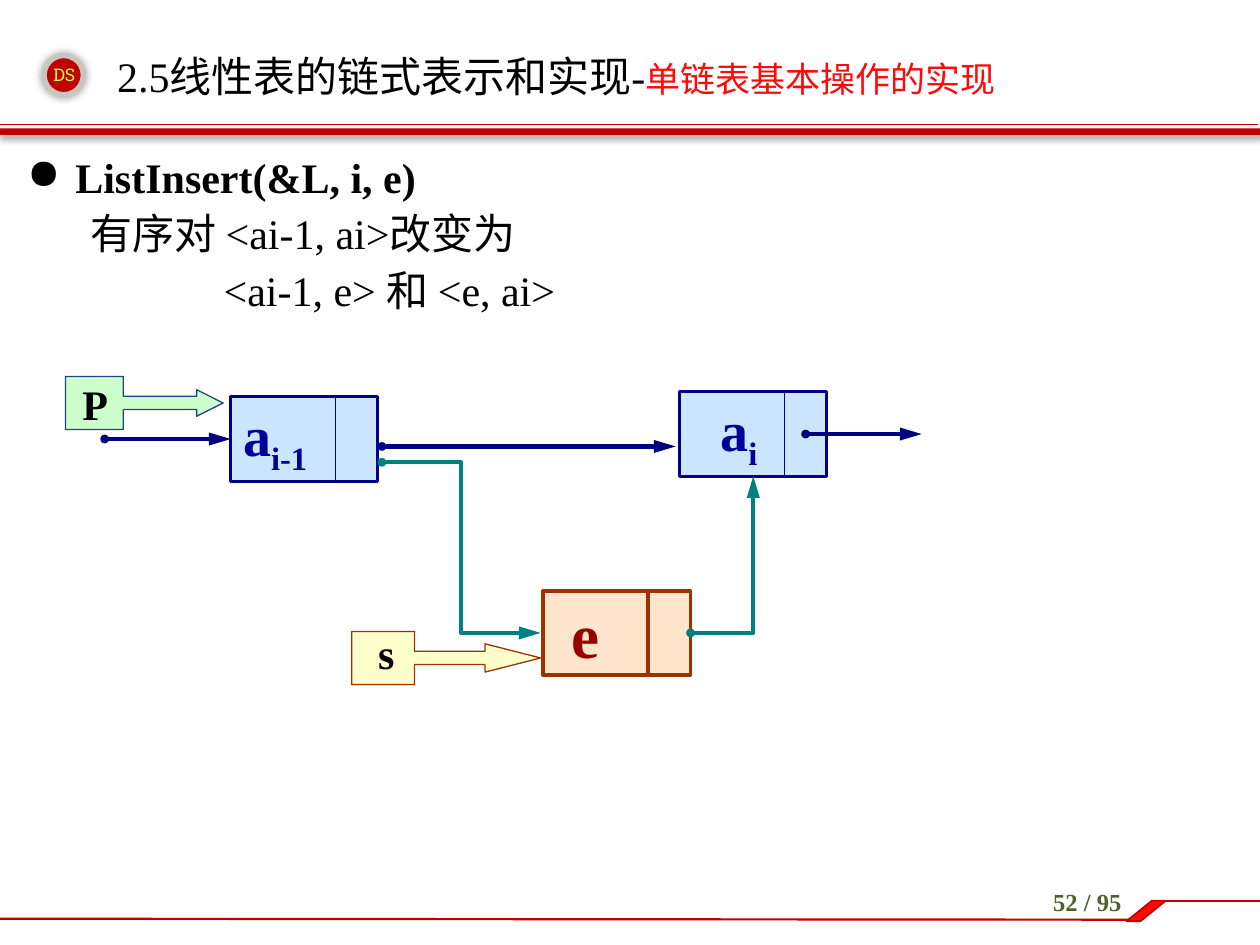
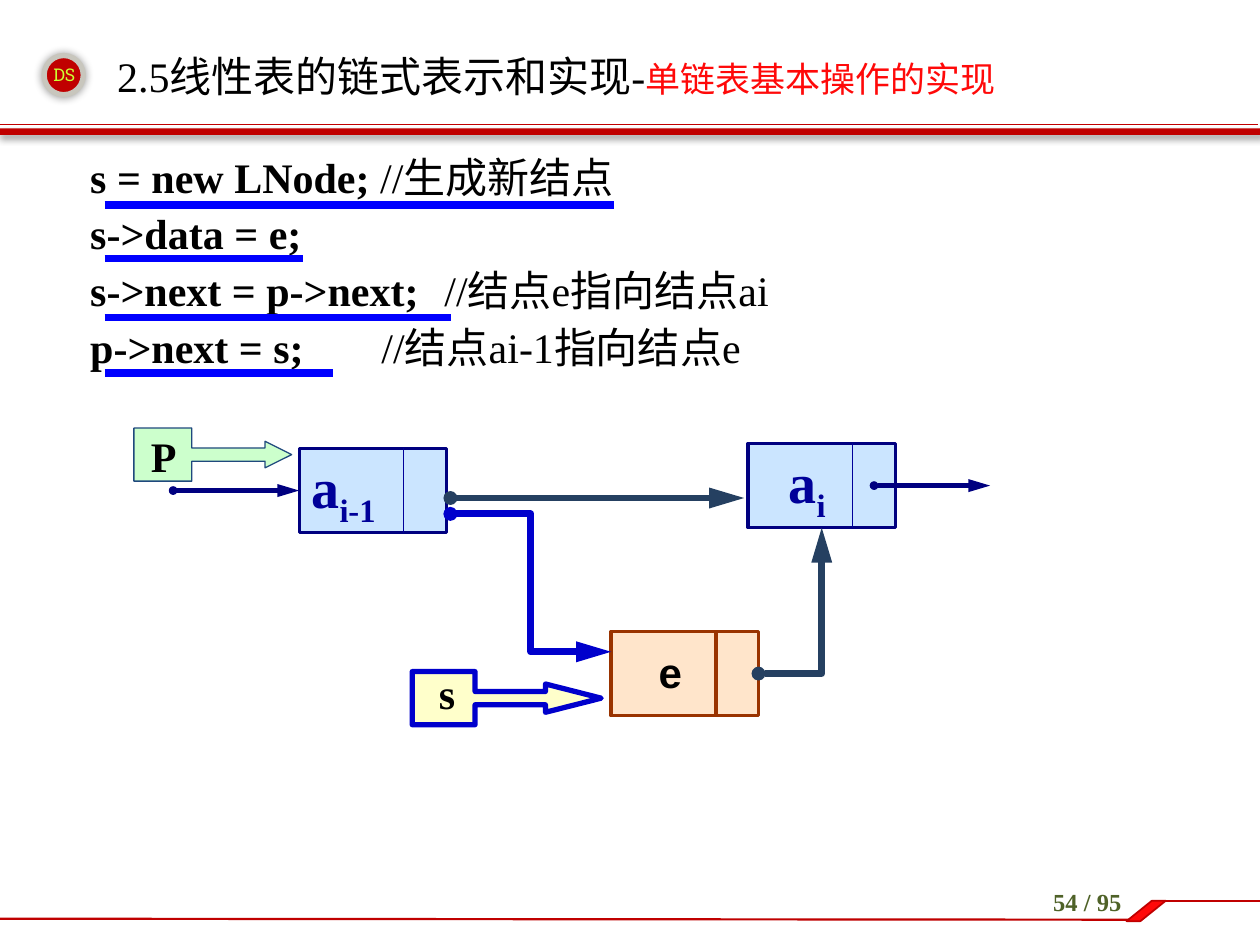
from lxml import etree
from pptx import Presentation
from pptx.dml.color import RGBColor
from pptx.enum.shapes import MSO_CONNECTOR, MSO_SHAPE
from pptx.enum.text import MSO_ANCHOR, PP_ALIGN
from pptx.oxml.ns import qn
from pptx.util import Cm, Pt

STRAIGHT, ELBOW = MSO_CONNECTOR.STRAIGHT, MSO_CONNECTOR.ELBOW
RECTANGLE, ELLIPSE = MSO_SHAPE.RECTANGLE, MSO_SHAPE.OVAL
PARALLELOGRAM, CALLOUT = MSO_SHAPE.PARALLELOGRAM, MSO_SHAPE.RIGHT_ARROW_CALLOUT
LEFT, CENTER = PP_ALIGN.LEFT, PP_ALIGN.CENTER
TOP, MIDDLE = MSO_ANCHOR.TOP, MSO_ANCHOR.MIDDLE

RED, BRIGHT_RED = "C00000", "FF0909"
NAVY, INK, TEAL = "000080", "000099", "008080"
SLATE, BLUE, MARKER = "254061", "0000CC", "0000FF"
BROWN, DARK_RED = "993300", "990000"
SKY, PEACH, YELLOW, MINT = "99CCFF", "FFCC99", "FFFF99", "CCFFCC"

PLAIN = dict(size=24, name="Times New Roman", color="000000", bold=False)
BOLD = PLAIN | dict(bold=True)
NODE_TEXT = BOLD | dict(size=32, color=INK)
SUBSCRIPT = NODE_TEXT | dict(baseline=-25000)
VALUE_TEXT = BOLD | dict(size=36, color=DARK_RED)
PAGE_TEXT = BOLD | dict(size=14, color="4F6228")
BADGE_TEXT = dict(size=10, name="Roboto Slab", color="CCFF33")

TITLE = [("2.5线性表的链式表示和实现-", PLAIN),
         ("单链表基本操作的实现", PLAIN | dict(size=20, color=BRIGHT_RED))]

# Paragraph layouts: left margin and first-line indent in cm, bullet
BULLET = (0.97, -0.97, "●")
CODE = (2.06, -0.79, None)
SECOND_PAIR = (3.96, 0, None)

NODE_WIDTH, NODE_HEIGHT, DIVIDER = 2.97, 1.7, 2.11
LINK_GAP = 0.08

SLIDES = [
    dict(
        page="52 / 95",
        body=[
            (BULLET, [("ListInsert(&L, i, e)", BOLD)]),
            (CODE, [("有序对 <ai-1, ai>改变为", PLAIN)]),
            (SECOND_PAIR, [("<ai-1, e> 和 <e, ai>", PLAIN)]),
        ],
        previous=(4.65, 8.0), new=(10.95, 11.91), s_callout=(7.09, 12.73),
        value_in_node=True,
        old_link=(NAVY, 2.5), link_in=(TEAL, 2.5), link_out=(TEAL, 2.5),
        s_outline=(BROWN, 0.75),
        link_in_drop=0.85, new_gap=0.05,
        underlines=[],
    ),
    dict(
        page="54 / 95",
        body=[
            (CODE, [("s = new LNode; ", BOLD), ("//生成新结点", PLAIN)]),
            (CODE, [("s->data = e;", BOLD)]),
            (CODE, [("s->next = p->next;\t", BOLD), ("//结点e指向结点ai", PLAIN)]),
            (CODE, [("p->next = s; \t\t", BOLD), ("//结点ai-1指向结点e", PLAIN)]),
        ],
        previous=(6.03, 9.04), new=(12.32, 12.73), s_callout=(8.31, 13.54),
        value_in_node=False,
        old_link=(SLATE, 4), link_in=(BLUE, 4), link_out=(SLATE, 4),
        s_outline=(BLUE, 3),
        link_in_drop=0.41, new_gap=0,
        underlines=[(4.13, 12.37), (5.21, 6.1), (6.4, 9.09), (7.52, 6.71)],
    ),
]
UNDERLINE_LEFT = 2.11


def rgb(color):
    return RGBColor.from_string(color)


def add_child(parent, tag, **attributes):
    return etree.SubElement(parent, qn(tag), attributes)


def set_outline(shape, outline):
    color, width = outline
    shape.line.color.rgb = rgb(color)
    shape.line.width = Pt(width)


def add_runs(paragraph, runs):
    for text, formatting in runs:
        run = paragraph.add_run()
        run.text = text
        for key, value in formatting.items():
            if key == "color":
                run.font.color.rgb = rgb(value)
            elif key == "baseline":
                run.font._element.set("baseline", str(value))
            else:
                setattr(run.font, key, Pt(value) if key == "size" else value)


def add_text(slide, box, runs, align=CENTER, anchor=TOP):
    frame = slide.shapes.add_textbox(*map(Cm, box)).text_frame
    frame.word_wrap = True
    frame.vertical_anchor = anchor
    frame.paragraphs[0].alignment = align
    add_runs(frame.paragraphs[0], runs)


def add_shape(slide, kind, box, fill, outline=None, alpha=None, adjustments=(), shadow=None):
    """shadow is blur and distance in points and direction in degrees."""
    shape = slide.shapes.add_shape(kind, *map(Cm, box))
    shape.shadow.inherit = False
    shape.fill.solid()
    shape.fill.fore_color.rgb = rgb(fill)
    properties = shape._element.spPr
    if alpha:
        color = properties.find(qn("a:solidFill"))[0]
        add_child(color, "a:alpha", val=str(alpha * 1000))
    if outline:
        set_outline(shape, outline)
    else:
        shape.line.fill.background()
    for index, value in enumerate(adjustments):
        shape.adjustments[index] = value
    if shadow:
        blur, distance, direction = shadow
        outer = add_child(properties.find(qn("a:effectLst")), "a:outerShdw",
                          blurRad=str(Pt(blur)), dist=str(Pt(distance)),
                          dir=str(direction * 60000), rotWithShape="0")
        add_child(add_child(outer, "a:srgbClr", val="000000"), "a:alpha", val="40000")
    return shape


def add_line(slide, start, end, outline, kind=STRAIGHT, arrow=False):
    connector = slide.shapes.add_connector(kind, *map(Cm, start + end))
    set_outline(connector, outline)
    if arrow:
        line = connector.line._get_or_add_ln()
        add_child(line, "a:headEnd", type="oval", w="sm", len="sm")
        add_child(line, "a:tailEnd", type="triangle", w="med", len="lg")
    add_child(connector._element.spPr, "a:effectLst")
    return connector


def add_frame(slide, page):
    """Header band, title, footer and page number shared by the slides."""
    add_shape(slide, ELLIPSE, (0.89, 1.12, 0.79, 0.79), RED, ("C8C6BD", 3), shadow=(5, 0, 0))
    add_line(slide, (-0.05, 2.51), (25.35, 2.51), (RED, 0.25))
    add_shape(slide, RECTANGLE, (-0.08, 2.59, 25.48, 0.13), RED, shadow=(4, 3, 45))
    add_text(slide, (20.32, 17.75, 3.2, 1.02), [(page, PAGE_TEXT)])
    add_line(slide, (0, 18.52), (22.76, 18.54), (RED, 1.25))
    add_line(slide, (23.29, 18.16), (25.4, 18.16), (RED, 1.5))
    add_shape(slide, PARALLELOGRAM, (22.71, 18.16, 0.79, 0.41), BRIGHT_RED, (RED, 1),
              adjustments=[1.242])
    add_text(slide, (0.61, 1.17, 1.37, 0.69), [("DS", BADGE_TEXT)])
    add_text(slide, (2.11, 0.76, 20.19, 1.55), TITLE, LEFT, MIDDLE)


def add_body(slide, body):
    frame = slide.shapes.add_textbox(Cm(0.3), Cm(2.92), Cm(24.61), Cm(15.6)).text_frame
    frame.word_wrap = True
    for index, ((margin, indent, bullet), runs) in enumerate(body):
        paragraph = frame.add_paragraph() if index else frame.paragraphs[0]
        paragraph.space_before = Pt(3.6)
        properties = paragraph._p.get_or_add_pPr()
        properties.set("marL", str(Cm(margin)))
        properties.set("indent", str(Cm(indent)))
        if bullet:
            add_child(properties, "a:buChar", char=bullet)
        add_runs(paragraph, runs)


def add_node(slide, corner, runs, fill, outline, divider, inset=0.25):
    left, top = corner
    node = add_shape(slide, RECTANGLE, (left, top, NODE_WIDTH, NODE_HEIGHT), fill, outline, 50)
    frame = node.text_frame
    frame.word_wrap = True
    frame.vertical_anchor = MIDDLE
    frame.margin_left = Cm(inset)
    frame.paragraphs[0].alignment = LEFT
    add_runs(frame.paragraphs[0], runs)
    add_line(slide, (left + DIVIDER, top), (left + DIVIDER, top + NODE_HEIGHT), divider)
    return node


def add_diagram(slide, content):
    previous_left, previous_top = content["previous"]
    new_left, new_top = content["new"]
    s_left, s_top = content["s_callout"]
    next_left, next_top = previous_left + 9.05, previous_top - 0.1
    pointer_left, pointer_top = previous_left - 3.33, previous_top - 0.41
    previous_right = previous_left + NODE_WIDTH + LINK_GAP
    middle = NODE_HEIGHT / 2
    blue_style = (SKY, (NAVY, 1.75), (INK, 0.75))

    value = [("e", VALUE_TEXT)] if content["value_in_node"] else []
    add_node(slide, (new_left, new_top), value, PEACH, (BROWN, 2), (BROWN, 2), 0.57)
    previous = add_node(slide, (previous_left, previous_top),
                        [("a", NODE_TEXT), ("i-1", SUBSCRIPT)], *blue_style)
    incoming = add_line(slide, (previous_left - 2.54, previous_top + middle),
                        (previous_left, previous_top + middle), (NAVY, 2.5), arrow=True)
    incoming.end_connect(previous, 1)
    add_line(slide, (previous_right, previous_top + 1),
             (next_left - LINK_GAP, previous_top + 1), content["old_link"], arrow=True)
    add_node(slide, (next_left, next_top), [("a", NODE_TEXT), ("i", SUBSCRIPT)],
             *blue_style, inset=0.82)
    add_line(slide, (next_left + 2.54, next_top + middle),
             (next_left + 4.88, next_top + middle), (NAVY, 2.5), arrow=True)

    add_line(slide, (previous_right, previous_top + 1.32),
             (new_left - content["new_gap"], new_top + content["link_in_drop"]),
             content["link_in"], ELBOW, True)
    link_out = add_line(slide, (new_left + NODE_WIDTH, new_top + middle),
                        (next_left + NODE_WIDTH / 2, next_top + NODE_HEIGHT),
                        content["link_out"], ELBOW, True)
    link_out._element.spPr.find(qn("a:prstGeom")).set("prst", "bentConnector2")

    add_shape(slide, CALLOUT, (s_left, s_top, 3.81, 1.07), YELLOW, content["s_outline"], 50,
              (0.25, 0.267, 1.05, 0.333))
    add_text(slide, (s_left, s_top - 0.2, 1.4, 1.27), [("s", BOLD)])
    add_shape(slide, CALLOUT, (pointer_left, pointer_top, 3.18, 1.07), MINT, ("1F497D", 0.75),
              adjustments=(0.25, 0.25, 0.5, 0.367))
    add_text(slide, (pointer_left - 0.2, pointer_top - 0.08, 1.6, 1.27), [("P", BOLD)])
    if not value:
        add_text(slide, (new_left, new_top + 0.18, 2.39, 1.27),
                 [("e", BOLD | dict(name="Arial"))])


def main():
    presentation = Presentation()
    presentation.slide_width, presentation.slide_height = Cm(25.4), Cm(19.05)
    for content in SLIDES:
        slide = presentation.slides.add_slide(presentation.slide_layouts[6])
        add_frame(slide, content["page"])
        add_body(slide, content["body"])
        add_diagram(slide, content)
        for top, right in content["underlines"]:
            add_line(slide, (UNDERLINE_LEFT, top), (right, top), (MARKER, 4.5))
    presentation.save("out.pptx")


if __name__ == "__main__":
    main()
